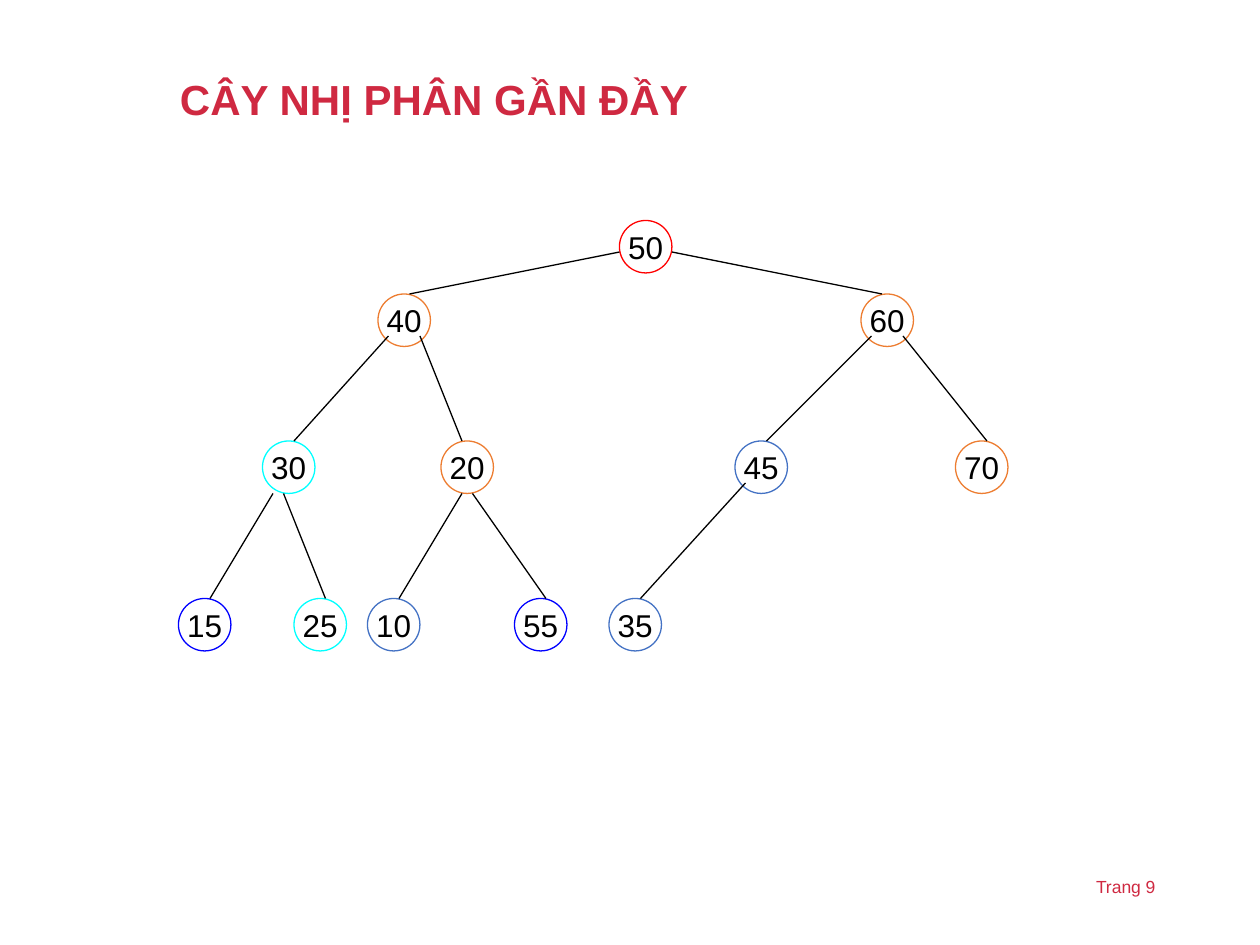
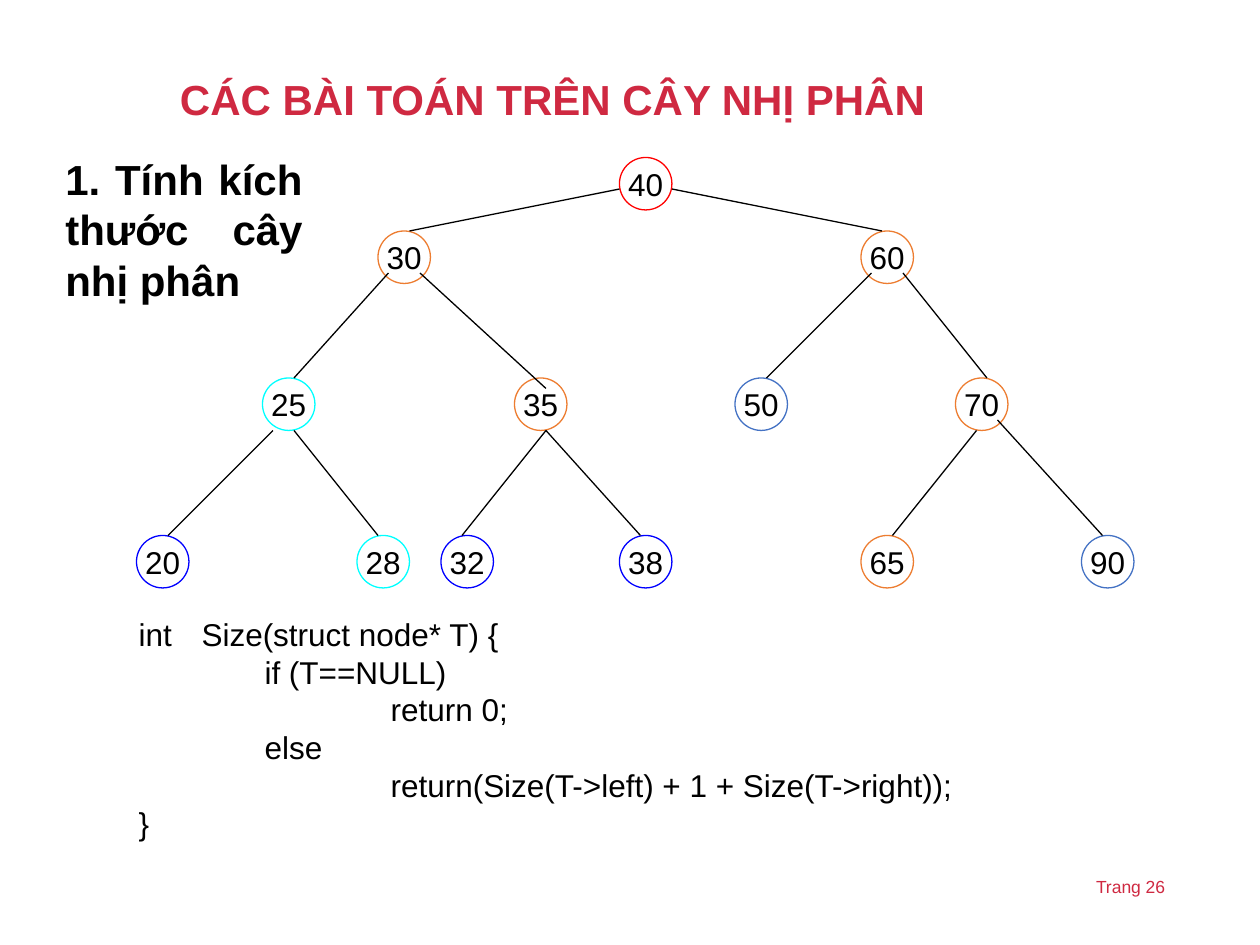
"""Two slides on binary trees: node diagrams on a 1/12 inch grid."""
from dataclasses import dataclass

import pptx
import pptx.dml.color
import pptx.enum.shapes
import pptx.enum.text
import pptx.oxml
import pptx.util
from pptx.util import Inches

ALIGN = pptx.enum.text.PP_ALIGN
ANCHOR = pptx.enum.text.MSO_ANCHOR
AUTO_SIZE = pptx.enum.text.MSO_AUTO_SIZE


# Theme: colours and type sizes
@dataclass(frozen=True)
class Theme:
    font: str = "Arial"
    accent: str = "CF2941"
    ink: str = "000000"
    red: str = "FF0000"
    orange: str = "ED7D31"
    cyan: str = "00FFFF"
    blue: str = "4472C4"
    navy: str = "0000FF"
    title_size: int = 24
    body_size: int = 18
    page_size: int = 10
    line_width: float = 0.74


THEME = Theme()

# Tree grid, in units of 1/12 inch
UNIT = 1 / 12
DIAMETER = 5
LEVEL_TOPS = (0, 7, 21, 36)


@dataclass(frozen=True)
class Node:
    """A tree node; leave and arrive are edge ends within parent and node."""
    label: str
    col: int
    level: int
    color: str
    parent: str = ""
    leave: tuple[int, int] = (0, 0)
    arrive: tuple[int, int] = (3, 0)


@dataclass(frozen=True)
class CodeLine:
    indent: int
    text: str


def rgb(value: str) -> pptx.dml.color.RGBColor:
    return pptx.dml.color.RGBColor.from_string(value)


def apply(target, values: dict) -> None:
    for name, value in values.items():
        setattr(target, name, value)


def add_run(p, text: str, size: int, color: str, bold: bool = False) -> None:
    r = p.add_run()
    r.text = text
    apply(r.font, {"name": THEME.font, "size": pptx.util.Pt(size), "bold": bold})
    r.font.color.rgb = rgb(color)


def add_box(s, left: float, top: float, width: float, height: float,
            **frame_format):
    """Add a wrapping text box and return its text frame."""
    box = s.shapes.add_textbox(Inches(left), Inches(top),
                               Inches(width), Inches(height))
    apply(box.text_frame, {"word_wrap": True, **frame_format})
    return box.text_frame


# Shared frame: title and page number
def add_slide(prs, title: str, page: int):
    s = prs.slides.add_slide(prs.slide_layouts[6])
    tf = add_box(s, 8.6, 6.9, 1.21, 0.27, auto_size=AUTO_SIZE.SHAPE_TO_FIT_TEXT)
    add_run(tf.paragraphs[0], f"Trang {page}", THEME.page_size, THEME.accent)

    tf = add_box(s, 1.33, 0.4, 7.98, 0.82, vertical_anchor=ANCHOR.MIDDLE)
    p = tf.paragraphs[0]
    p.line_spacing = 0.9
    add_run(p, title, THEME.title_size, THEME.accent, bold=True)
    return s


# Tree parts
def add_node(s, node: Node, tree_top: float) -> None:
    sp = s.shapes.add_shape(
        pptx.enum.shapes.MSO_SHAPE.OVAL, Inches(node.col * UNIT),
        Inches(tree_top + LEVEL_TOPS[node.level] * UNIT),
        Inches(DIAMETER * UNIT), Inches(DIAMETER * UNIT))
    sp.shadow.inherit = False
    sp.fill.background()
    sp.line.color.rgb = rgb(node.color)
    sp.line.width = pptx.util.Pt(THEME.line_width)
    tf = sp.text_frame
    apply(tf, {"word_wrap": False, "vertical_anchor": ANCHOR.MIDDLE})
    p = tf.paragraphs[0]
    p.alignment = ALIGN.CENTER
    add_run(p, node.label, THEME.body_size, THEME.ink)


def edge_end(node: Node, offset: tuple[int, int], tree_top: float) -> tuple:
    dx, dy = offset
    return (Inches((node.col + dx) * UNIT),
            Inches(tree_top + (LEVEL_TOPS[node.level] + dy) * UNIT))


def add_edge(s, parent: Node, child: Node, tree_top: float) -> None:
    line = s.shapes.add_connector(
        pptx.enum.shapes.MSO_CONNECTOR.STRAIGHT,
        *edge_end(parent, child.leave, tree_top),
        *edge_end(child, child.arrive, tree_top))
    line.line.color.rgb = rgb(THEME.ink)
    line.line.width = pptx.util.Pt(THEME.line_width)
    sp_pr = line._element.spPr
    sp_pr.append(pptx.oxml.parse_xml(
        '<a:effectLst xmlns:a="http://schemas.openxmlformats.org/drawingml/2006/main"/>'))


def add_tree(s, nodes: list[Node], tree_top: float) -> None:
    by_label = {node.label: node for node in nodes}
    for node in nodes:
        add_node(s, node, tree_top)
    for node in nodes:
        if node.parent:
            add_edge(s, by_label[node.parent], node, tree_top)


def add_code(s, lines: list[CodeLine]) -> None:
    tf = add_box(s, 0, 4.83, 10, 1.9, margin_left=Inches(1.1),
                 auto_size=AUTO_SIZE.SHAPE_TO_FIT_TEXT)
    for i, line in enumerate(lines):
        p = tf.add_paragraph() if i else tf.paragraphs[0]
        p_pr = p._p.get_or_add_pPr()
        p_pr.set("marL", str(Inches(line.indent)))
        p_pr.set("indent", "0")
        if "\t" in line.text:
            p_pr.append(pptx.oxml.parse_xml(
                '<a:tabLst xmlns:a="http://schemas.openxmlformats.org/drawingml/2006/main">'
                f'<a:tab pos="{Inches(0.54)}" algn="l"/></a:tabLst>'))
        add_run(p, line.text, THEME.body_size, THEME.ink)


# Content
NEARLY_FULL_TREE = [
    Node("50", 59, 0, THEME.red),
    Node("40", 36, 1, THEME.orange, "50", (0, 3)),
    Node("60", 82, 1, THEME.orange, "50", (5, 3), (2, 0)),
    Node("30", 25, 2, THEME.cyan, "40", (1, 4)),
    Node("20", 42, 2, THEME.orange, "40", (4, 4), (2, 0)),
    Node("45", 70, 2, THEME.blue, "60", (1, 4)),
    Node("70", 91, 2, THEME.orange, "60", (4, 4)),
    Node("15", 17, 3, THEME.navy, "30", (1, 5)),
    Node("25", 28, 3, THEME.cyan, "30", (2, 5)),
    Node("10", 35, 3, THEME.blue, "20", (2, 5)),
    Node("55", 49, 3, THEME.navy, "20", (3, 5)),
    Node("35", 58, 3, THEME.blue, "45", (1, 4)),
]
SIZE_TREE = [
    Node("40", 59, 0, THEME.red),
    Node("30", 36, 1, THEME.orange, "40", (0, 3)),
    Node("60", 82, 1, THEME.orange, "40", (5, 3), (2, 0)),
    Node("25", 25, 2, THEME.cyan, "30", (1, 4)),
    Node("35", 49, 2, THEME.orange, "30", (4, 4), (3, 1)),
    Node("50", 70, 2, THEME.blue, "60", (1, 4)),
    Node("70", 91, 2, THEME.orange, "60", (4, 4)),
    Node("20", 13, 3, THEME.navy, "25", (1, 5)),
    Node("28", 34, 3, THEME.cyan, "25", (3, 5), (2, 0)),
    Node("32", 42, 3, THEME.navy, "35", (3, 5), (2, 0)),
    Node("38", 59, 3, THEME.navy, "35", (3, 5), (2, 0)),
    Node("65", 82, 3, THEME.orange, "70", (2, 5)),
    Node("90", 103, 3, THEME.blue, "70", (4, 4), (2, 0)),
]
SIZE_CODE = [
    CodeLine(0, "int\tSize(struct node* T) {"),
    CodeLine(1, "if (T==NULL)"),
    CodeLine(2, "return 0;"),
    CodeLine(1, "else"),
    CodeLine(2, "return(Size(T->left) + 1 + Size(T->right));"),
    CodeLine(0, "}"),
]


def main() -> None:
    prs = pptx.Presentation()
    apply(prs, {"slide_width": Inches(10), "slide_height": Inches(7.5)})

    # Nearly full binary tree
    s = add_slide(prs, "CÂY NHỊ PHÂN GẦN ĐẦY", 9)
    add_tree(s, NEARLY_FULL_TREE, 1.75)

    # Size of a binary tree
    s = add_slide(prs, "CÁC BÀI TOÁN TRÊN CÂY NHỊ PHÂN", 26)
    tf = add_box(s, 0.42, 1.17, 2.08, 1.3, auto_size=AUTO_SIZE.SHAPE_TO_FIT_TEXT)
    p = tf.paragraphs[0]
    apply(p, {"alignment": ALIGN.JUSTIFY, "space_before": pptx.util.Pt(4.5)})
    add_run(p, "1. Tính kích thước cây nhị phân", THEME.title_size, THEME.ink,
            bold=True)
    add_tree(s, SIZE_TREE, 1.25)
    add_code(s, SIZE_CODE)

    prs.save("out.pptx")


main()
